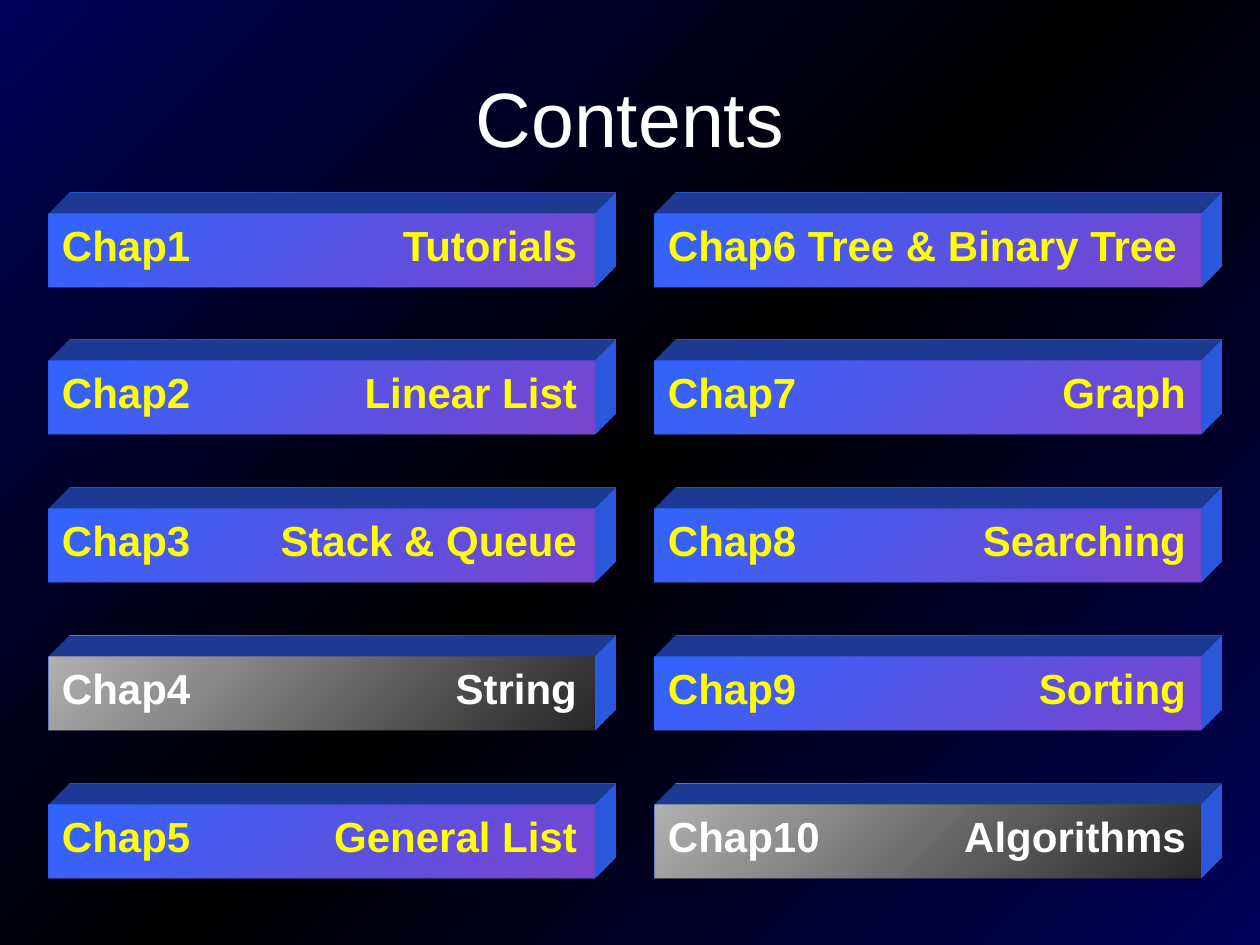
from copy import deepcopy
from dataclasses import dataclass

from pptx import Presentation
from pptx.dml.color import RGBColor as Color
from pptx.enum.shapes import MSO_SHAPE as Shape
from pptx.enum.text import MSO_ANCHOR as Anchor, PP_ALIGN as Align
from pptx.oxml import parse_xml
from pptx.oxml.ns import nsdecls, qn
from pptx.util import Pt

PX = 914400 // 126


@dataclass(frozen=True)
class Theme:
    font: str = "Arial"
    title_size: int = 44
    label_size: int = 24
    title: str = "FFFFFF"
    night: tuple = ("000058", "000000")
    bar: tuple = ("3366FF", "7B46D0")
    bar_text: str = "FFFF00"
    muted_bar: tuple = ("B2B2B2", "292929")
    muted_text: str = "FFFFFF"
    extrusion: str = "3366FF"


theme = Theme()


def set_gradient(fill, colors):
    fill.gradient()
    fill.gradient_angle = 315
    for stop, color, position in zip(fill.gradient_stops, colors, (0, 1)):
        stop.color.rgb = Color.from_string(color)
        stop.position = position


def add_span(para, text, size, color, bold):
    span = para.add_run()
    span.text = text
    span.font.name = theme.font
    span.font.size = Pt(size)
    span.font.bold = bold
    span.font.color.rgb = Color.from_string(color)


deck = Presentation()
deck.slide_width, deck.slide_height = 1260 * PX, 945 * PX
page = deck.slides.add_slide(deck.slide_layouts[5])

set_gradient(page.background.fill, theme.night)
stops = next(page.element.iter(qn("a:gsLst")))
last_stop = deepcopy(stops[0])
last_stop.set("pos", "100000")
stops[1].set("pos", "50000")
stops.append(last_stop)

title = page.shapes.title
title.left, title.top, title.width, title.height = 63 * PX, 38 * PX, 1134 * PX, 158 * PX
title.text_frame.vertical_anchor = Anchor.MIDDLE
para = title.text_frame.paragraphs[0]
para.alignment = Align.CENTER
add_span(para, "Contents", theme.title_size, theme.title, False)

columns = [
    (49, 515, [("Chap1", "Tutorials"), ("Chap2", "Linear List"), ("Chap3", "Stack & Queue"),
               ("Chap4", "String"), ("Chap5", "General List")]),
    (655, 518, [("Chap6", "Tree & Binary Tree"), ("Chap7", "Graph"), ("Chap8", "Searching"),
                ("Chap9", "Sorting"), ("Chap10", "Algorithms")]),
]
muted_chapters = {"Chap4", "Chap10"}
width, height = 546, 74

scene = (f'<a:scene3d {nsdecls("a")}><a:camera prst="legacyObliqueTopRight"/>'
         '<a:lightRig rig="legacyFlat3" dir="b"/></a:scene3d>')
solid = (f'<a:sp3d {nsdecls("a")} extrusionH="430200" prstMaterial="legacyMatte">'
         '<a:bevelT w="13500" h="13500" prst="angle"/><a:bevelB w="13500" h="13500" prst="angle"/>'
         f'<a:extrusionClr><a:srgbClr val="{theme.extrusion}"/></a:extrusionClr></a:sp3d>')

for left, tab_stop, chapters in columns:
    for row, (chapter, topic) in enumerate(chapters):
        top = 214 + row * 591 // 4
        muted = chapter in muted_chapters
        bar = page.shapes.add_shape(Shape.RECTANGLE, left * PX, top * PX, width * PX, height * PX)
        bar.line.fill.background()
        set_gradient(bar.fill, theme.muted_bar if muted else theme.bar)
        bar.shadow.inherit = False
        for xml in (scene, solid):
            bar.element.spPr.append(parse_xml(xml))

        frame = bar.text_frame
        frame.word_wrap = True
        frame.vertical_anchor = Anchor.TOP
        frame.margin_left = frame.margin_right = 13 * PX
        frame.margin_top = frame.margin_bottom = 6 * PX
        para = frame.paragraphs[0]
        para.alignment = Align.LEFT
        gap = " " if chapter == "Chap6" else "\t"
        if gap == "\t":
            tabs = f'<a:tabLst {nsdecls("a")}><a:tab pos="{tab_stop * PX}" algn="r"/></a:tabLst>'
            para._p.get_or_add_pPr().append(parse_xml(tabs))
        color = theme.muted_text if muted else theme.bar_text
        add_span(para, chapter + gap + topic, theme.label_size, color, True)

deck.save("out.pptx")
